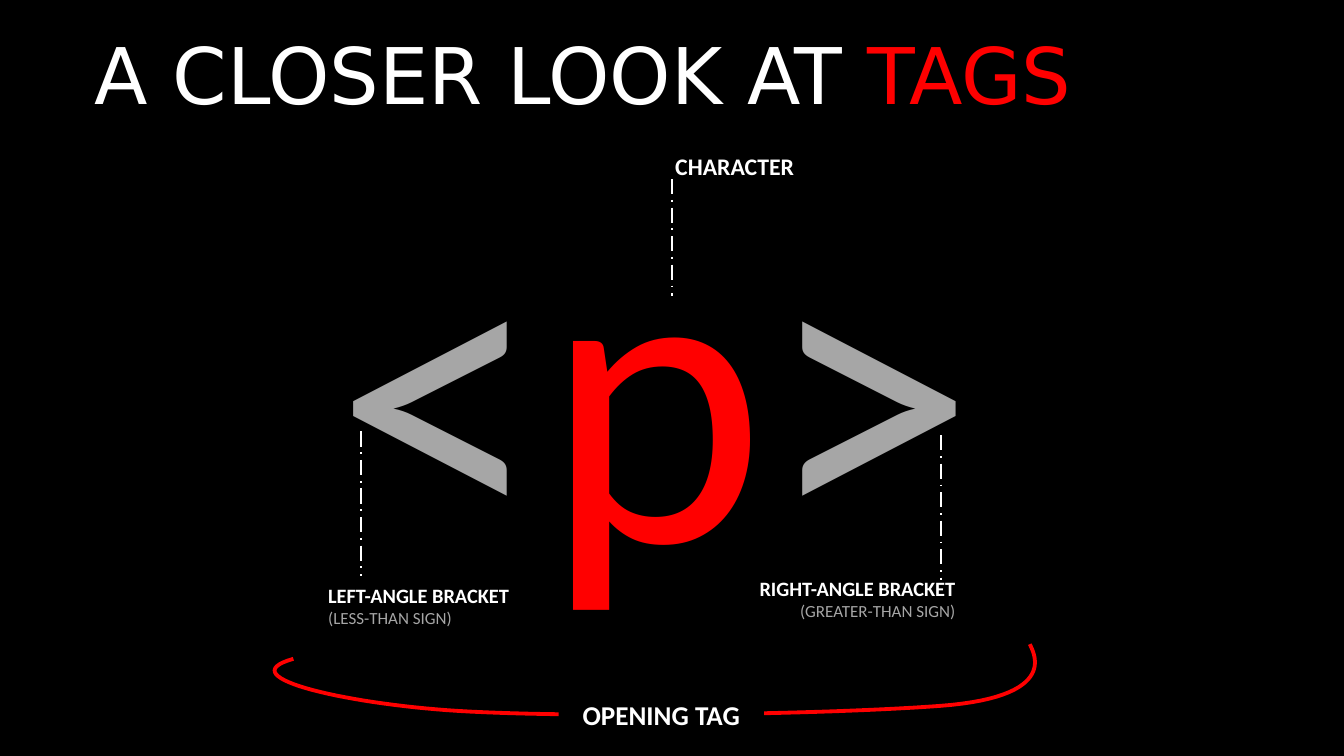
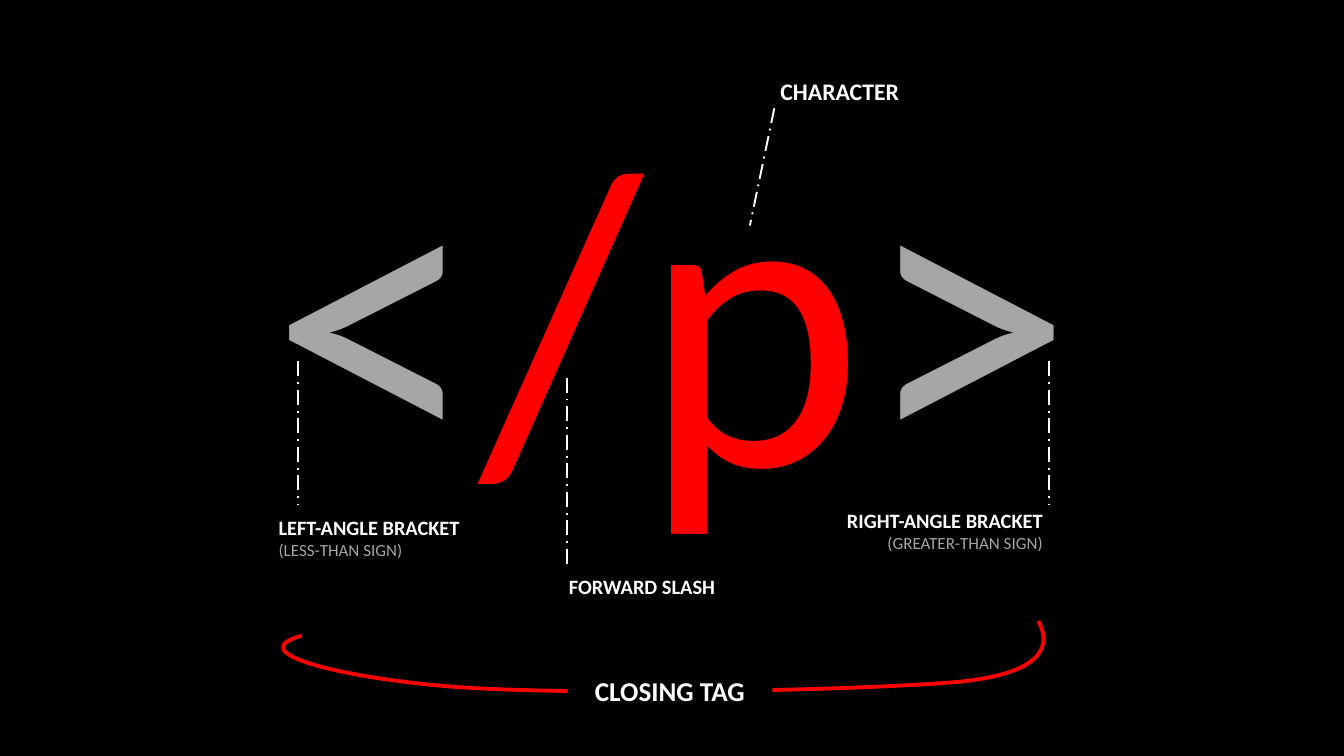
"""Build two slides that explain the parts of an opening and a closing HTML tag."""
from lxml import etree
from pptx import Presentation
from pptx.dml.color import RGBColor
from pptx.enum import dml, shapes, text
from pptx.oxml import ns
from pptx.util import Inches, Pt

WIDTH, HEIGHT = 21.99, 12.37
WHITE, RED, GREY, BLACK = "FFFFFF", "FF0000", "A6A6A6", "000000"
BODY_FONT, TITLE_FONT = "Calibri", "DejaVu Sans"
LEFT, CENTER, RIGHT = text.PP_ALIGN.LEFT, text.PP_ALIGN.CENTER, text.PP_ALIGN.RIGHT
NO_MARGINS = dict.fromkeys(("left", "top", "right", "bottom"), 0)

TITLE = [("A CLOSER LOOK AT ", WHITE), ("TAGS", RED)]
CAPTIONS = {
    "character": dict(lines=["CHARACTER"], size=28, width=2.96, height=0.57, align=LEFT),
    "left": dict(lines=["LEFT-ANGLE BRACKET", "(LESS-THAN SIGN)"],
                 size=24, width=4.25, height=0.84, align=LEFT),
    "right": dict(lines=["RIGHT-ANGLE BRACKET", "(GREATER-THAN SIGN)"],
                  size=24, width=4.25, height=0.84, align=RIGHT),
    "slash": dict(lines=["FORWARD SLASH"], size=24, width=3.26, height=0.5, align=LEFT),
}
SLIDES = [
    dict(title=TITLE, tag="p", tag_box=(5.05, 1.98, 11.33, 8.42),
         name="OPENING TAG", name_at=(9.14, 11.37),
         callouts=[("character", (10.95, 2.44), (10.99, 2.93), (10.99, 4.85)),
                   ("left", (5.27, 9.49), (5.91, 7.06), (5.91, 9.43)),
                   ("right", (11.48, 9.38), (15.4, 7.12), (15.4, 9.49))]),
    dict(title=None, tag="/p", tag_box=(4.15, 0.75, 13.69, 8.42),
         name="CLOSING TAG", name_at=(9.28, 10.99),
         callouts=[("character", (12.67, 1.2), (12.67, 1.77), (12.27, 3.69)),
                   ("left", (4.46, 8.38), (4.87, 5.91), (4.87, 8.27)),
                   ("right", (12.91, 8.26), (17.17, 5.91), (17.17, 8.27)),
                   ("slash", (9.21, 9.34), (9.28, 6.18), (9.28, 9.23))]),
]
BRACE_START = (-4.34, -0.59)
BRACE_CURVES = [
    ((-5.38, -0.3), (-3.59, 0.12), (-1.83, 0.25)),
    ((-0.06, 0.38), (4.22, 0.33), (6.24, 0.18)),
    ((8.25, 0.03), (7.75, -0.72), (7.71, -0.83)),
]
CURVE_STEPS = 30


def color(value):
    return RGBColor.from_string(value)


def write(shape, paragraphs, align, margins=None):
    """Fill a shape with paragraphs, each a list of (words, format) runs."""
    frame = shape.text_frame
    frame.word_wrap = True
    frame.auto_size = text.MSO_AUTO_SIZE.SHAPE_TO_FIT_TEXT
    frame.vertical_anchor = text.MSO_ANCHOR.TOP
    for name, value in (margins or {}).items():
        setattr(frame, f"margin_{name}", Inches(value))
    for index, runs in enumerate(paragraphs):
        paragraph = frame.add_paragraph() if index else frame.paragraphs[0]
        paragraph.alignment = align
        for words, style in runs:
            run = paragraph.add_run()
            run.text = words
            run.font.color.rgb = color(style["color"])
            for name in ("name", "size", "bold"):
                setattr(run.font, name, style[name])


def style(size, hue, bold=False, name=BODY_FONT):
    return dict(size=Pt(size), color=hue, bold=bold, name=name)


def add_black_box(slide, *box):
    """Add a plain black rectangle."""
    shape = slide.shapes.add_shape(shapes.MSO_SHAPE.RECTANGLE, *map(Inches, box))
    shape.shadow.inherit = False
    shape.fill.solid()
    shape.fill.fore_color.rgb = color(BLACK)
    shape.line.fill.background()
    return shape


def add_display(slide, box, pieces, size, font, align):
    """Add large text whose pieces differ in colour."""
    shape = slide.shapes.add_textbox(*map(Inches, box))
    runs = [(words, style(size, hue, name=font)) for words, hue in pieces]
    write(shape, [runs], align, NO_MARGINS)


def add_callout(slide, key, position, start, end):
    """Add a dashed pointer and its caption."""
    pointer = slide.shapes.add_connector(
        shapes.MSO_CONNECTOR.STRAIGHT, *map(Inches, start + end))
    pointer.line.color.rgb = color(WHITE)
    pointer.line.width = Pt(2.25)
    pointer.line.dash_style = dml.MSO_LINE.LONG_DASH_DOT
    etree.SubElement(pointer._element.spPr, ns.qn("a:effectLst"))
    caption = CAPTIONS[key]
    size = caption["width"], caption["height"]
    shape = slide.shapes.add_textbox(*map(Inches, position + size))
    styles = [style(caption["size"], WHITE, True), style(20, GREY)]
    write(shape, [[run] for run in zip(caption["lines"], styles)], caption["align"])


def curve_points(start, curves):
    """Return points along a chain of cubic curves."""
    points = [start]
    for first, second, end in curves:
        for step in range(1, CURVE_STEPS + 1):
            t = step / CURVE_STEPS
            weights = (1 - t) ** 3, 3 * t * (1 - t) ** 2, 3 * t * t * (1 - t), t ** 3
            points.append(tuple(
                sum(weight * value for weight, value in zip(weights, axis))
                for axis in zip(start, first, second, end)))
        start = end
    return points


def add_brace(slide, name, position):
    """Add the red curve under the tag, with the tag's name set into it."""
    left, top = position
    points = [(Inches(left + x), Inches(top + y))
              for x, y in curve_points(BRACE_START, BRACE_CURVES)]
    builder = slide.shapes.build_freeform(*points[0])
    builder.add_line_segments(points[1:], close=False)
    brace = builder.convert_to_shape()
    brace.shadow.inherit = False
    brace.fill.background()
    brace.line.color.rgb = color(RED)
    brace.line.width = Pt(4.5)
    label = add_black_box(slide, left, top, 3.36, 0.64)
    write(label, [[(name, style(32, WHITE, True))]], CENTER)


def add_backdrop(presentation, slide):
    """Put one black backdrop on the slide master."""
    backdrop = add_black_box(slide, 0, 0, WIDTH, HEIGHT)
    presentation.slide_master.shapes._spTree.insert(2, backdrop._element)


def main():
    presentation = Presentation()
    presentation.slide_width, presentation.slide_height = Inches(WIDTH), Inches(HEIGHT)
    for index, content in enumerate(SLIDES):
        slide = presentation.slides.add_slide(presentation.slide_layouts[6])
        if index == 0:
            add_backdrop(presentation, slide)
        if content["title"]:
            add_display(slide, (1.55, 0.43, 16.94, 1.55), content["title"],
                        92, TITLE_FONT, LEFT)
        pieces = [("<", GREY), (content["tag"], RED), (">", GREY)]
        add_display(slide, content["tag_box"], pieces, 496, BODY_FONT, CENTER)
        for callout in content["callouts"]:
            add_callout(slide, *callout)
        add_brace(slide, content["name"], content["name_at"])
    presentation.save("out.pptx")


if __name__ == "__main__":
    main()
